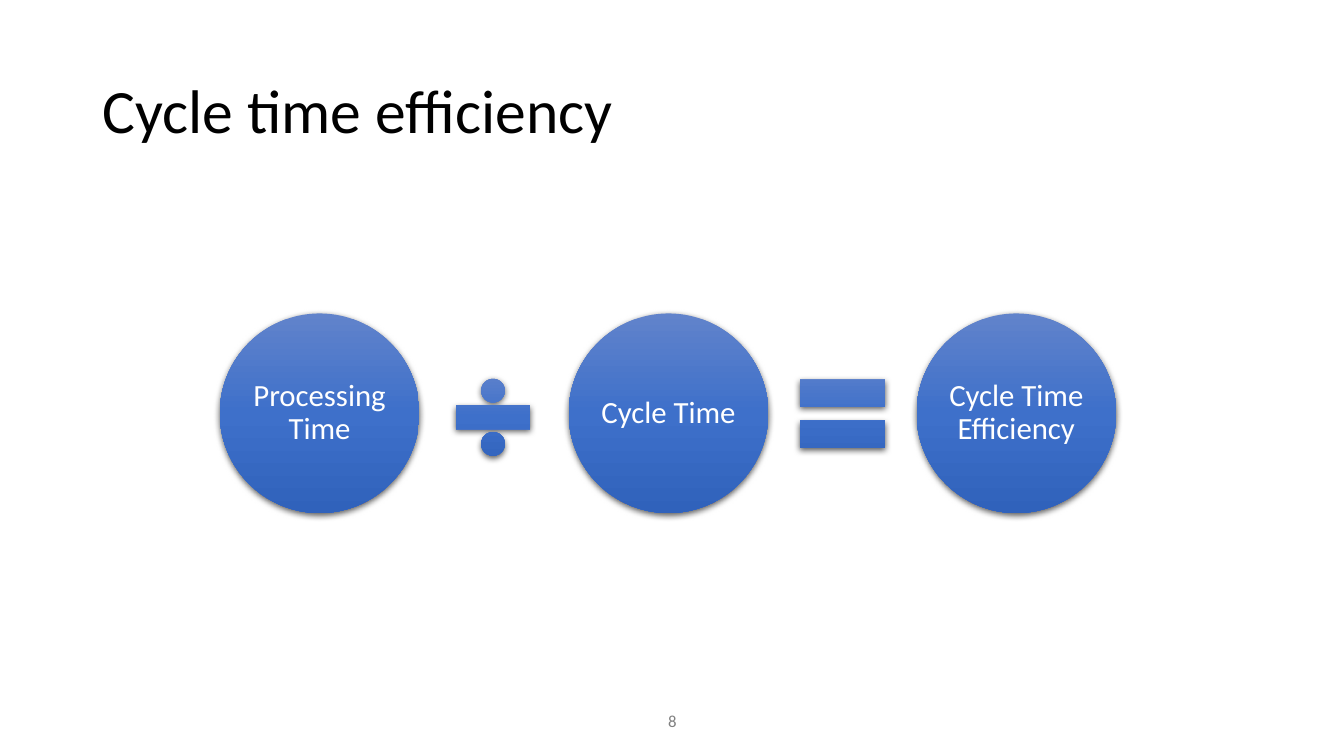
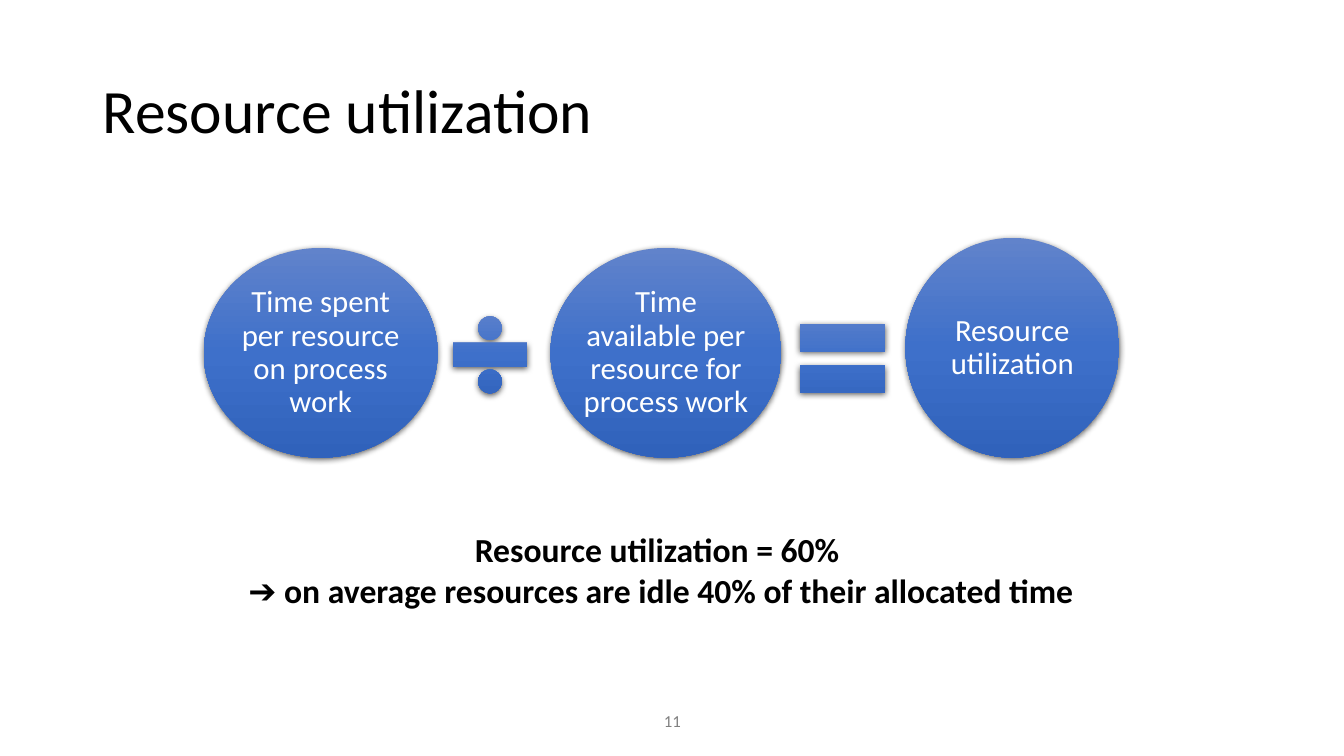
"""Build two slides that show process ratios as equations of circles."""
from copy import deepcopy

from lxml.etree import SubElement
from pptx import Presentation
from pptx.dml.color import RGBColor
from pptx.enum.shapes import MSO_SHAPE
from pptx.enum.text import MSO_ANCHOR, PP_ALIGN
from pptx.oxml.ns import qn
from pptx.util import Inches, Pt

BLACK = RGBColor(0x00, 0x00, 0x00)
WHITE = RGBColor(0xFF, 0xFF, 0xFF)
GREY = RGBColor(0x80, 0x80, 0x80)
GRADIENT = [
    (0, RGBColor(0x61, 0x83, 0xCB)),
    (0.5, RGBColor(0x3E, 0x70, 0xCA)),
    (1, RGBColor(0x30, 0x62, 0xBB)),
]
FONT = "Calibri"
TEXT_INSET = 0.32
OVAL_INSET_RATIO = 0.1464

PAGES = [
    {
        "title": "Cycle time efficiency",
        "number": "8",
        "circles": [
            ("Processing Time", 2.18, 3.11, 1.98, 1.98),
            ("Cycle Time", 5.64, 3.11, 1.98, 1.98),
            ("Cycle Time Efficiency", 9.09, 3.11, 1.98, 1.98),
        ],
        "divide": (4.39, 3.64),
        "equal": (7.78, 3.53),
        "conclusion": [],
    },
    {
        "title": "Resource utilization",
        "number": "11",
        "circles": [
            ("Time spent per resource on process work", 2.02, 2.46, 2.32, 2.08),
            ("Time available per resource for process work", 5.46, 2.46, 2.29, 2.08),
            ("Resource utilization", 8.98, 2.36, 2.12, 2.18),
        ],
        "divide": (4.36, 3.02),
        "equal": (7.78, 2.98),
        "conclusion": [
            "Resource utilization = 60% ",
            "➔ on average resources are idle 40% of their allocated time",
        ],
    },
]


def add_glossy_shape(page, preset, left, top, width, height):
    """Add a preset shape with the blue gradient and a soft shadow."""
    shape = page.shapes.add_shape(
        preset, Inches(left), Inches(top), Inches(width), Inches(height)
    )
    shape.line.fill.background()
    shape.fill.gradient()
    shape.fill.gradient_angle = 270
    properties = shape._element.spPr
    stop_list = properties.find(qn("a:gradFill")).find(qn("a:gsLst"))
    stop_list.append(deepcopy(stop_list[-1]))
    for stop, (position, color) in zip(shape.fill.gradient_stops, GRADIENT):
        stop.position = position
        stop.color.rgb = color
    effects = SubElement(properties, qn("a:effectLst"))
    shadow = SubElement(
        effects, qn("a:outerShdw"),
        blurRad=str(Pt(4.5)), dist=str(Pt(1.5)), dir="5400000",
        algn="ctr", rotWithShape="0",
    )
    shadow_color = SubElement(shadow, qn("a:srgbClr"), val=str(BLACK))
    SubElement(shadow_color, qn("a:alpha"), val="63000")
    return shape


def write_text(shape, lines, size, color, alignment, anchor, bold=False, spacing=None):
    """Write one paragraph per line, all in the same style."""
    frame = shape.text_frame
    frame.word_wrap = True
    frame.vertical_anchor = anchor
    frame.text = "\n".join(lines)
    for para in frame.paragraphs:
        para.alignment = alignment
        para.line_spacing = spacing
        para.font.name = FONT
        para.font.size = Pt(size)
        para.font.bold = bold
        para.font.color.rgb = color


deck = Presentation()
deck.slide_width = Inches(13.33)
deck.slide_height = Inches(7.5)

for content in PAGES:
    page = deck.slides.add_slide(deck.slide_layouts[5])

    title = page.shapes.title
    title.left, title.top = Inches(0.92), Inches(0.4)
    title.width, title.height = Inches(11.5), Inches(1.45)
    write_text(title, [content["title"]], 44, BLACK,
               PP_ALIGN.LEFT, MSO_ANCHOR.MIDDLE, spacing=0.9)

    for label, left, top, width, height in content["circles"]:
        circle = add_glossy_shape(page, MSO_SHAPE.OVAL, left, top, width, height)
        frame = circle.text_frame
        frame.margin_left = frame.margin_right = Inches(
            TEXT_INSET - width * OVAL_INSET_RATIO)
        frame.margin_top = frame.margin_bottom = Inches(
            TEXT_INSET - height * OVAL_INSET_RATIO)
        write_text(circle, [label], 22, WHITE,
                   PP_ALIGN.CENTER, MSO_ANCHOR.MIDDLE, spacing=0.9)

    add_glossy_shape(page, MSO_SHAPE.MATH_DIVIDE, *content["divide"], 1, 1)
    add_glossy_shape(page, MSO_SHAPE.MATH_EQUAL, *content["equal"], 1.15, 1.15)

    if content["conclusion"]:
        box = page.shapes.add_textbox(
            Inches(2.22), Inches(5.2), Inches(8.67), Inches(0.91))
        write_text(box, content["conclusion"], 24, BLACK,
                   PP_ALIGN.CENTER, MSO_ANCHOR.TOP, bold=True)

    number_box = page.shapes.add_textbox(
        Inches(4.42), Inches(6.95), Inches(4.5), Inches(0.4))
    write_text(number_box, [content["number"]], 12, GREY,
               PP_ALIGN.CENTER, MSO_ANCHOR.MIDDLE)

deck.save("out.pptx")
